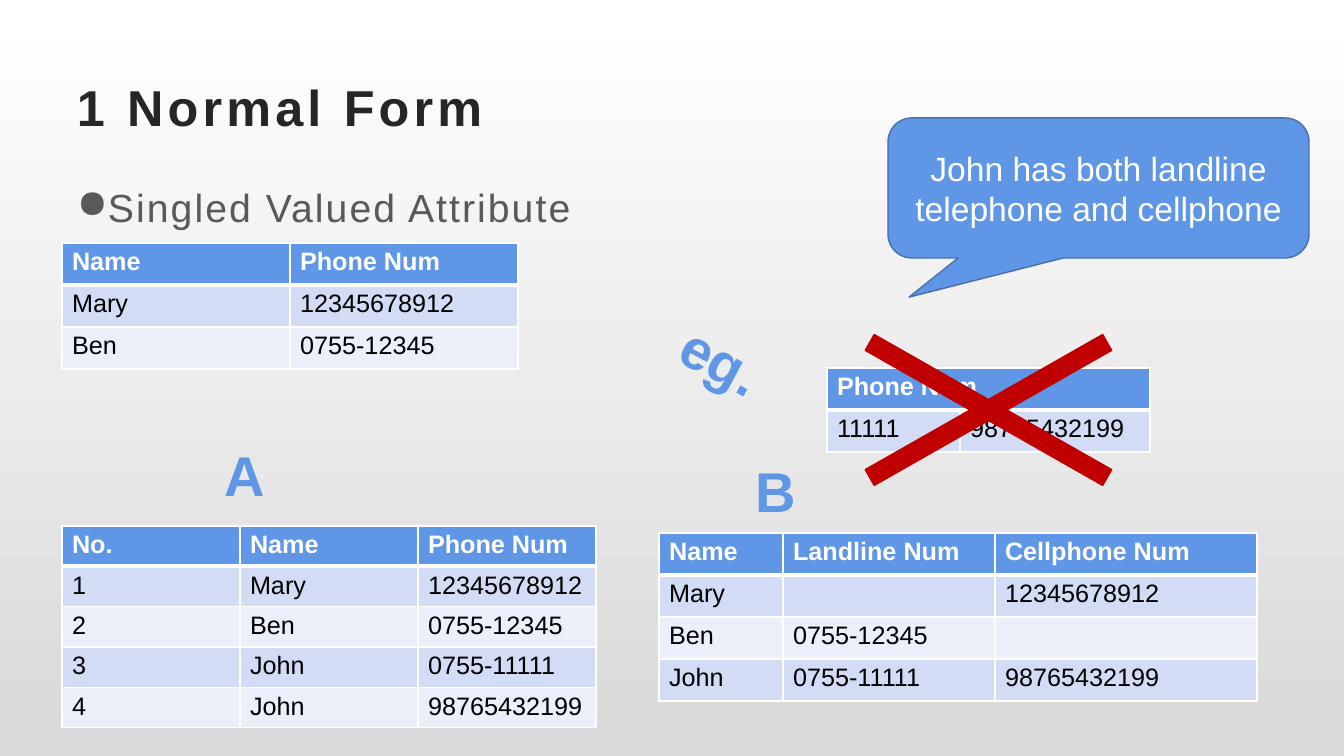
from dataclasses import dataclass

from lxml import etree
from pptx import Presentation
from pptx.dml.color import RGBColor
from pptx.enum.shapes import MSO_SHAPE
from pptx.enum.text import MSO_ANCHOR, MSO_AUTO_SIZE, PP_ALIGN
from pptx.oxml.ns import qn
from pptx.util import Pt

PIXEL = 914400 / 100.8
CALLOUT = MSO_SHAPE.ROUNDED_RECTANGULAR_CALLOUT
CROSS = MSO_SHAPE.MATH_MULTIPLY
CENTER = PP_ALIGN.CENTER
TOP, MIDDLE = MSO_ANCHOR.TOP, MSO_ANCHOR.MIDDLE
GROW = MSO_AUTO_SIZE.SHAPE_TO_FIT_TEXT


@dataclass(frozen=True)
class Theme:
    font: str = "Arial"
    title: str = "262626"
    body: str = "595959"
    accent: str = "6096E6"
    outline: str = "476FAA"
    cross: str = "C00000"
    white: str = "FFFFFF"
    black: str = "000000"
    shade: str = "D9D9D9"
    bands: tuple = ("D2DDF5", "EAEFFA")
    title_size: int = 36
    body_size: int = 28
    callout_size: int = 24
    table_size: int = 18
    label_size: int = 40


THEME = Theme()


def px(value):
    return round(value * PIXEL)


def rgb(value):
    return RGBColor.from_string(value)


def add_span(para, text, size, color, bold=False, spacing=0):
    span = para.add_run()
    span.text = text
    span.font.name = THEME.font
    span.font.size = Pt(size)
    span.font.bold = bold
    span.font.color.rgb = rgb(color)
    if spacing:
        span.font._element.set("spc", str(round(spacing * 100)))


def add_text_box(page, area, anchor):
    box = page.shapes.add_textbox(*map(px, area))
    box.text_frame.word_wrap = True
    box.text_frame.vertical_anchor = anchor
    return box


def add_bullet(para):
    para.line_spacing = 1.3
    para.space_after = Pt(10)
    props = para._p.get_or_add_pPr()
    props.set("marL", str(px(25)))
    props.set("indent", str(px(-25)))
    etree.SubElement(props, qn("a:buChar")).set("char", "●")


def add_label(page, text, area, rotation=0):
    box = add_text_box(page, area, TOP)
    box.rotation = rotation
    box.text_frame.word_wrap = False
    box.text_frame.auto_size = GROW
    para = box.text_frame.paragraphs[0]
    para.alignment = CENTER
    add_span(para, text, THEME.label_size, THEME.accent, bold=True)


def add_figure(page, kind, area, fill, line, adjustments):
    shape = page.shapes.add_shape(kind, *map(px, area))
    shape.shadow.inherit = False
    shape.fill.solid()
    shape.fill.fore_color.rgb = rgb(fill)
    shape.line.color.rgb = rgb(line)
    shape.line.width = Pt(1)
    for index, value in enumerate(adjustments):
        shape.adjustments[index] = value
    return shape


def add_border(cell, side, width):
    props = cell._tc.get_or_add_tcPr()
    line = etree.SubElement(props, qn(f"a:ln{side}"), w=str(Pt(width)))
    fill = etree.SubElement(line, qn("a:solidFill"))
    etree.SubElement(fill, qn("a:srgbClr"), val=THEME.white)


def style_cell(cell, text, row):
    header = row == 0
    widths = {"L": 1, "R": 1, "T": 3 if row == 1 else 1, "B": 3 if header else 1}
    for side, width in widths.items():
        add_border(cell, side, width)
    cell.fill.solid()
    cell.fill.fore_color.rgb = rgb(THEME.accent if header else THEME.bands[(row - 1) % 2])
    if text:
        color = THEME.white if header else THEME.black
        add_span(cell.text_frame.paragraphs[0], text, THEME.table_size, color, bold=header)


def add_grid(page, left, top, widths, height, rows):
    area = (left, top, sum(widths), height * len(rows))
    table = page.shapes.add_table(len(rows), len(widths), *map(px, area)).table
    for column, width in zip(table.columns, widths):
        column.width = px(width)
    for row, texts in enumerate(rows):
        table.rows[row].height = px(height)
        for column, text in enumerate(texts):
            style_cell(table.cell(row, column), text, row)
    return table


def main():
    deck = Presentation()
    deck.slide_width, deck.slide_height = px(1344), px(756)
    page = deck.slides.add_slide(deck.slide_layouts[6])

    # Background, white at the top to grey at the bottom
    backdrop = page.background.fill
    backdrop.gradient()
    backdrop.gradient_angle = 270
    for stop, color in zip(backdrop.gradient_stops, (THEME.white, THEME.shade)):
        stop.color.rgb = rgb(color)

    # Title and bullet
    title = add_text_box(page, (67, 67, 1210, 78), MIDDLE)
    add_span(title.text_frame.paragraphs[0], "1 Normal Form",
             THEME.title_size, THEME.title, bold=True, spacing=3)
    body = add_text_box(page, (67, 164, 1210, 524), TOP)
    bullet = body.text_frame.paragraphs[0]
    add_bullet(bullet)
    add_span(bullet, "Singled Valued Attribute", THEME.body_size, THEME.body, spacing=1.5)

    # Option B: one column for each kind of phone
    add_grid(page, 659, 533, (124, 212, 262), 42, [
        ("Name", "Landline Num", "Cellphone Num"),
        ("Mary", "", "12345678912"),
        ("Ben", "0755-12345", ""),
        ("John", "0755-11111", "98765432199"),
    ])

    # Callout about John
    callout = add_figure(page, CALLOUT, (888, 118, 421, 140),
                         THEME.accent, THEME.outline, (-0.45, 0.78, 0.17))
    callout.text_frame.word_wrap = True
    callout.text_frame.vertical_anchor = MIDDLE
    remark = callout.text_frame.paragraphs[0]
    remark.alignment = CENTER
    add_span(remark, "John has both landline telephone and cellphone",
             THEME.callout_size, THEME.white)

    # Two values in one attribute, crossed out
    phones = add_grid(page, 827, 368, (133, 190), 42,
                      [("Phone Num", ""), ("11111", "98765432199")])
    phones.cell(0, 0).merge(phones.cell(0, 1))
    add_figure(page, CROSS, (760, 280, 457, 260), THEME.cross, THEME.cross, (0.07,))

    # Option A: one row for each phone
    add_grid(page, 62, 526, (178,) * 3, 40, [
        ("No.", "Name", "Phone Num"),
        ("1", "Mary", "12345678912"),
        ("2", "Ben", "0755-12345"),
        ("3", "John", "0755-11111"),
        ("4", "John", "98765432199"),
    ])

    # Starting table
    add_grid(page, 62, 243, (228, 228), 42, [
        ("Name", "Phone Num"),
        ("Mary", "12345678912"),
        ("Ben", "0755-12345"),
    ])

    # Labels
    add_label(page, "eg.", (671, 321, 101, 78), rotation=28)
    add_label(page, "A", (215, 436, 60, 78))
    add_label(page, "B", (746, 452, 60, 78))

    deck.save("out.pptx")


main()
